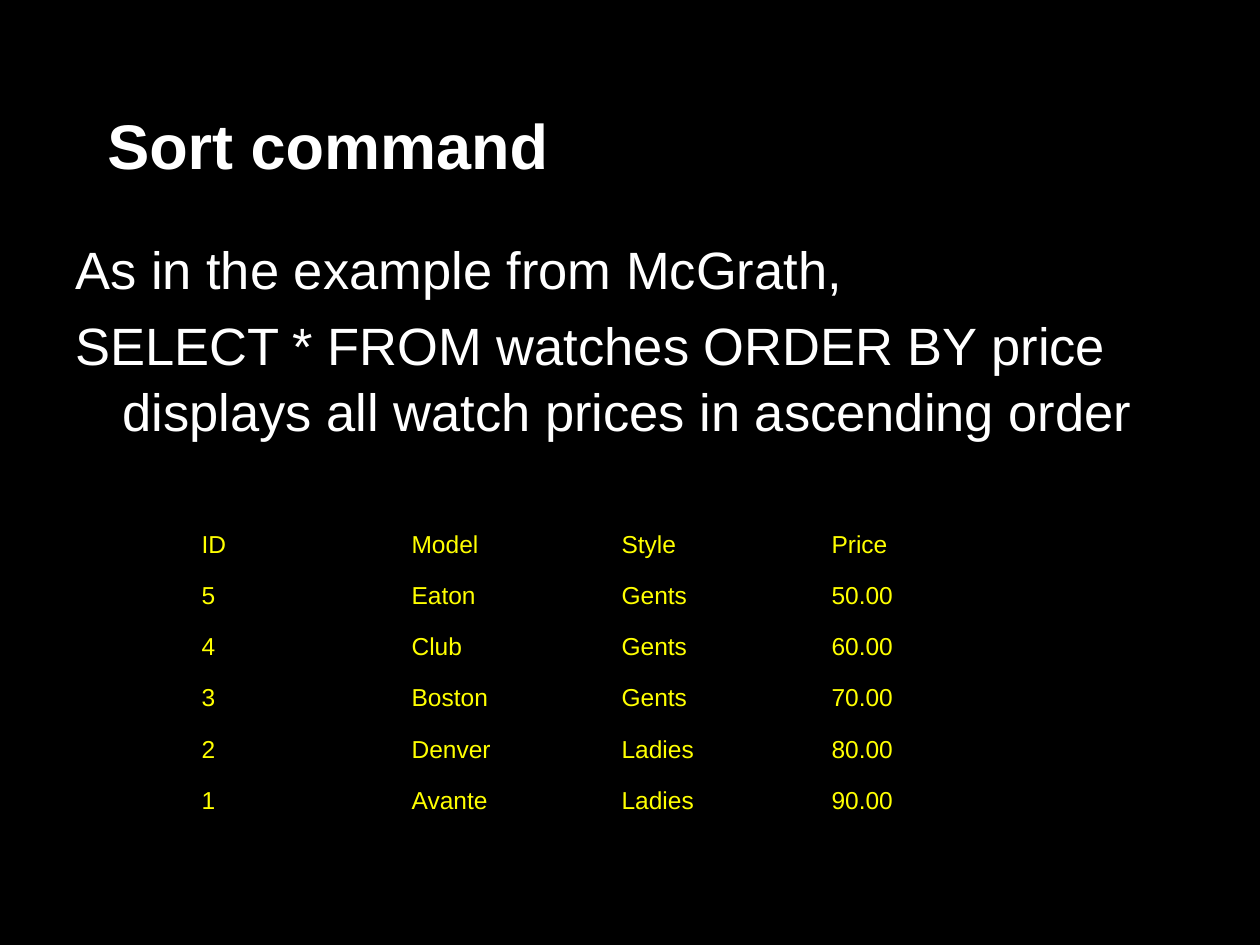
import pptx
import pptx.dml.color
import pptx.enum.text
import pptx.util

COLORS = {"background": "000000", "text": "FFFFFF", "table": "FFFF00"}
EMU_PER_PX = 914400 // 126
NO_STYLE_NO_GRID = "{2D5ABB26-0587-4C30-8999-92F81FD0307C}"
WATCHES = [
    ("ID", "Model", "Style", "Price"),
    ("5", "Eaton", "Gents", "50.00"),
    ("4", "Club", "Gents", "60.00"),
    ("3", "Boston", "Gents", "70.00"),
    ("2", "Denver", "Ladies", "80.00"),
    ("1", "Avante", "Ladies", "90.00"),
]


def px(length):
    return pptx.util.Emu(round(length * EMU_PER_PX))


def rgb(name):
    return pptx.dml.color.RGBColor.from_string(COLORS[name])


class SlideBuilder:
    font_name = "Arial"

    def __init__(self, presentation):
        self.slide = presentation.slides.add_slide(presentation.slide_layouts[6])
        fill = self.slide.background.fill
        fill.solid()
        fill.fore_color.rgb = rgb("background")

    def style(self, paragraph, color, size, bold=False):
        formats = {"name": self.font_name, "size": pptx.util.Pt(size), "bold": bold}
        for run in paragraph.runs:
            for attribute, value in formats.items():
                setattr(run.font, attribute, value)
            run.font.color.rgb = rgb(color)

    def text(self, box, paragraphs, size, anchor, margin=0, indent=0,
             bold=False, space_before=0, line_spacing=1.0):
        frame = self.slide.shapes.add_textbox(*map(px, box)).text_frame
        formats = {"word_wrap": True, "vertical_anchor": anchor}
        for side in ("left", "top", "right", "bottom"):
            formats[f"margin_{side}"] = pptx.util.Inches(0.1)
        for attribute, value in formats.items():
            setattr(frame, attribute, value)
        for index, wording in enumerate(paragraphs):
            paragraph = frame.add_paragraph() if index else frame.paragraphs[0]
            paragraph.text = wording
            paragraph.line_spacing = line_spacing
            paragraph.space_before = pptx.util.Pt(space_before if index else 0)
            properties = paragraph._p.get_or_add_pPr()
            properties.set("marL", str(px(margin)))
            properties.set("indent", str(px(indent)))
            self.style(paragraph, "text", size, bold)

    def table(self, box, rows, size):
        frame = self.slide.shapes.add_table(len(rows), len(rows[0]), *map(px, box))
        table = frame.table
        table.first_row = table.horz_banding = False
        table._tbl.tblPr[0].text = NO_STYLE_NO_GRID
        for row_index, row in enumerate(rows):
            for column_index, wording in enumerate(row):
                cell = table.cell(row_index, column_index)
                cell.fill.background()
                cell.text = wording
                self.style(cell.text_frame.paragraphs[0], "table", size)


def main():
    presentation = pptx.Presentation()
    presentation.slide_width = px(1260)
    presentation.slide_height = px(945)
    builder = SlideBuilder(presentation)
    anchors = pptx.enum.text.MSO_ANCHOR
    builder.text((63, 38, 1134, 157), ["Sort command"], 36, anchors.BOTTOM,
                 indent=32, bold=True)
    builder.text(
        (63, 221, 1134, 684),
        ["As in the example from McGrath,",
         "SELECT * FROM watches ORDER BY price\n"
         "displays all watch prices in ascending order"],
        30, anchors.TOP, margin=47, indent=-47, space_before=6, line_spacing=1.05)
    builder.table((189, 525, 840, 307), WATCHES, 14)
    presentation.save("out.pptx")


if __name__ == "__main__":
    main()
